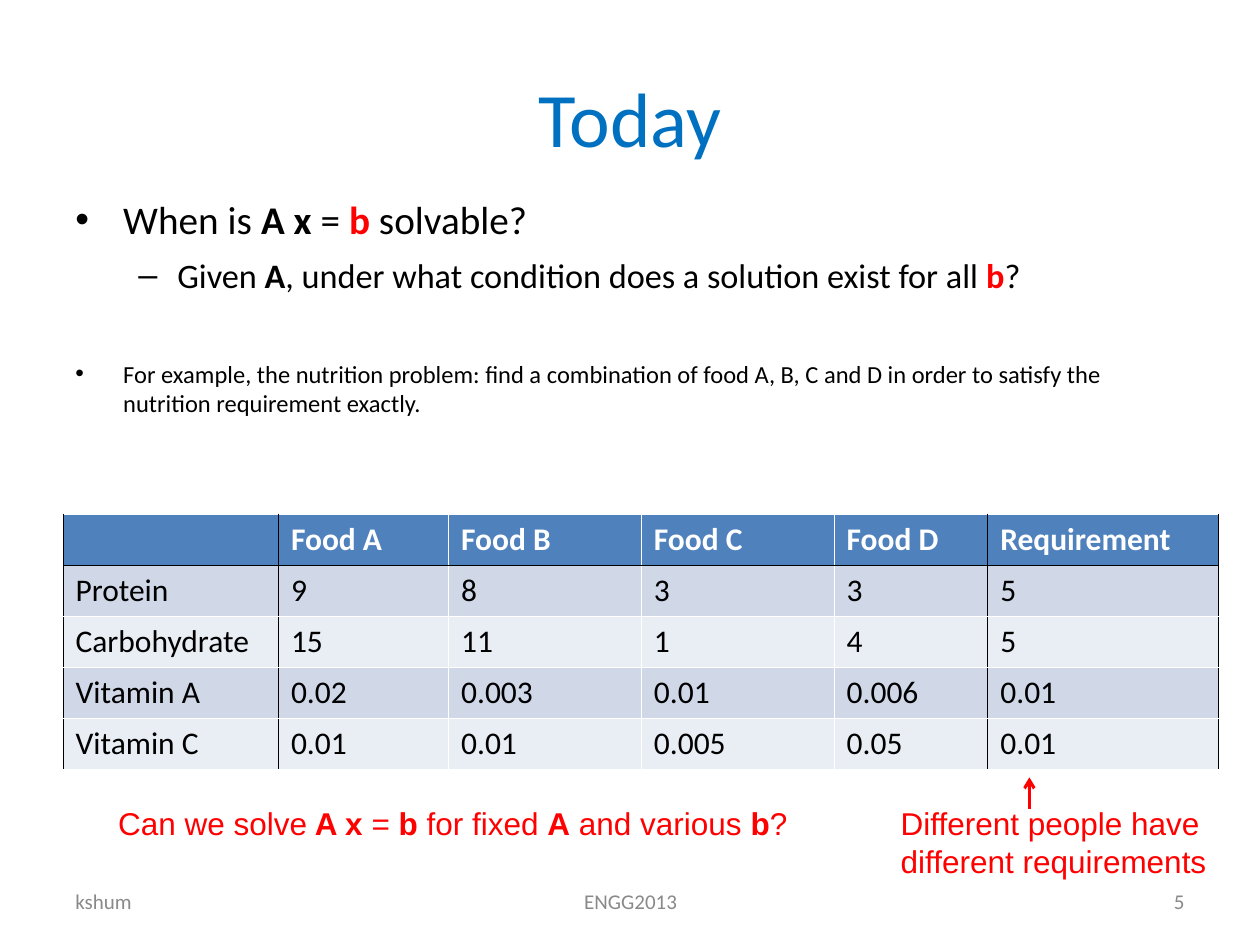
"""Build the "Today" slide on when A x = b is solvable."""
from lxml.etree import SubElement
from pptx import Presentation
from pptx.dml.color import RGBColor
from pptx.enum.shapes import MSO_CONNECTOR
from pptx.enum.text import MSO_ANCHOR, MSO_AUTO_SIZE, PP_ALIGN
from pptx.oxml import parse_xml
from pptx.oxml.ns import nsdecls, qn
from pptx.util import Inches, Pt

BLACK = RGBColor(0x00, 0x00, 0x00)
WHITE = RGBColor(0xFF, 0xFF, 0xFF)
RED = RGBColor(0xFF, 0x00, 0x00)
BLUE = RGBColor(0x00, 0x70, 0xC0)
GREY = RGBColor(0x89, 0x89, 0x89)
HEADER = RGBColor(0x4F, 0x81, 0xBD)
BANDS = [RGBColor(0xE9, 0xED, 0xF4), RGBColor(0xD0, 0xD8, 0xE8)]

TITLE = [("Today", False, BLUE)]
BULLETS = [
    ("•", 0.38, 0.38, 22.4, 0, [
        ("When is ", False, BLACK), ("A x ", True, BLACK), ("= ", False, BLACK),
        ("b", True, RED), (" solvable?", False, BLACK)]),
    ("–", 0.81, 0.31, 19.6, 7, [
        ("Given ", False, BLACK), ("A", True, BLACK),
        (", under what condition does a solution exist for all ", False, BLACK),
        ("b", True, RED), ("?", False, BLACK)]),
    ("•", 0.38, 0.38, 14, 36, [
        ("For example, the nutrition problem: find a combination of food A, B, C and D "
         "in order to satisfy the nutrition requirement exactly.", False, BLACK)]),
]
FOOTERS = [
    ("kshum", 0.5, 2.33, PP_ALIGN.LEFT),
    ("ENGG2013", 3.42, 3.17, PP_ALIGN.CENTER),
    ("5", 7.17, 2.33, PP_ALIGN.RIGHT),
]
NUTRITION = [
    ["", "Food A", "Food B", "Food C", "Food D", "Requirement"],
    ["Protein", "9", "8", "3", "3", "5"],
    ["Carbohydrate", "15", "11", "1", "4", "5"],
    ["Vitamin A", "0.02", "0.003", "0.01", "0.006", "0.01"],
    ["Vitamin C", "0.01", "0.01", "0.005", "0.05", "0.01"],
]
COL_WIDTHS = [1.71, 1.35, 1.53, 1.53, 1.22, 1.83]
ROW_HEIGHT = 0.406
BLACK_COL_EDGES = {0, 1, 5, 6}
BLACK_ROW_EDGES = {1}
QUESTION = [
    ("Can we solve", False, RED), (" A x ", True, RED), ("= ", False, RED),
    ("b ", True, RED), ("for fixed ", False, RED), ("A", True, RED),
    (" and various ", False, RED), ("b", True, RED), ("?", False, RED),
]
REMARK = [("Different people have", False, RED), ("\n", False, RED),
          ("different requirements", False, RED)]


def add_runs(p, runs, size, font="Calibri"):
    for text, bold, color in runs:
        if text == "\n":
            p.add_line_break()
            continue
        r = p.add_run()
        r.text = text
        r.font.name, r.font.size = font, Pt(size)
        r.font.bold, r.font.color.rgb = bold, color


def add_text(s, box, runs, size, font="Calibri", align=PP_ALIGN.LEFT,
             anchor=MSO_ANCHOR.TOP, wrap=True):
    tf = s.shapes.add_textbox(*map(Inches, box)).text_frame
    tf.word_wrap, tf.vertical_anchor = wrap, anchor
    if not wrap:
        tf.auto_size = MSO_AUTO_SIZE.SHAPE_TO_FIT_TEXT
    p = tf.paragraphs[0]
    p.alignment = align
    add_runs(p, runs, size, font)


def add_bullets(s, box):
    tf = s.shapes.add_textbox(*map(Inches, box)).text_frame
    tf.word_wrap = True
    for i, (char, margin, hang, size, before, runs) in enumerate(BULLETS):
        p = tf.add_paragraph() if i else tf.paragraphs[0]
        pPr = p._p.get_or_add_pPr()
        pPr.set("marL", str(Inches(margin)))
        pPr.set("indent", str(-Inches(hang)))
        color = SubElement(pPr, qn("a:buClr"))
        SubElement(color, qn("a:srgbClr"), val=str(BLACK))
        SubElement(pPr, qn("a:buFont"), typeface="Arial")
        SubElement(pPr, qn("a:buChar"), char=char)
        p.level = 1 if char == "–" else 0
        p.space_before = Pt(before)
        add_runs(p, runs, size)


def set_borders(cell, row, col):
    edges = [("lnL", col in BLACK_COL_EDGES), ("lnR", col + 1 in BLACK_COL_EDGES),
             ("lnT", row in BLACK_ROW_EDGES), ("lnB", row + 1 in BLACK_ROW_EDGES)]
    tcPr = cell._tc.get_or_add_tcPr()
    for i, (tag, black) in enumerate(edges):
        color = BLACK if black or (row == col == 0 and tag == "lnL") else WHITE
        tcPr.insert(i, parse_xml(
            f'<a:{tag} {nsdecls("a")} w="{Pt(0.45)}"><a:solidFill>'
            f'<a:srgbClr val="{color}"/></a:solidFill></a:{tag}>'))


def add_nutrition_table(s, left, top):
    rows, cols = len(NUTRITION), len(COL_WIDTHS)
    table = s.shapes.add_table(rows, cols, Inches(left), Inches(top),
                               Inches(sum(COL_WIDTHS)), Inches(rows * ROW_HEIGHT)).table
    for column, width in zip(table.columns, COL_WIDTHS):
        column.width = Inches(width)
    for i, values in enumerate(NUTRITION):
        table.rows[i].height = Inches(ROW_HEIGHT)
        for j, value in enumerate(values):
            cell = table.cell(i, j)
            cell.fill.solid()
            cell.fill.fore_color.rgb = BANDS[i % 2] if i else HEADER
            set_borders(cell, i, j)
            if value:
                run = (value, i == 0, BLACK if i else WHITE)
                add_runs(cell.text_frame.paragraphs[0], [run], 18)


def add_arrow(s, x, start, end):
    line = s.shapes.add_connector(MSO_CONNECTOR.STRAIGHT, Inches(x), Inches(start),
                                  Inches(x), Inches(end))
    line.line.color.rgb, line.line.width = RED, Pt(1.75)
    SubElement(line.line._get_or_add_ln(), qn("a:tailEnd"), type="arrow")
    SubElement(line._element.spPr, qn("a:effectLst"))


def main():
    prs = Presentation()
    prs.slide_width, prs.slide_height = Inches(10), Inches(7.5)
    s = prs.slides.add_slide(prs.slide_layouts[6])
    add_text(s, (0.5, 0.3, 9, 1.25), TITLE, 44, align=PP_ALIGN.CENTER,
             anchor=MSO_ANCHOR.MIDDLE)
    add_bullets(s, (0.5, 1.5, 9, 1.92))
    for text, left, width, align in FOOTERS:
        add_text(s, (left, 6.95, width, 0.4), [(text, False, GREY)], 12,
                 align=align, anchor=MSO_ANCHOR.MIDDLE)
    add_nutrition_table(s, 0.5, 4.08)
    add_text(s, (7.05, 6.33, 2.63, 0.7), REMARK, 18, "Arial", wrap=False)
    add_arrow(s, 8.17, 6.42, 6.17)
    add_text(s, (0.84, 6.33, 5.53, 0.4), QUESTION, 18, "Arial", wrap=False)
    prs.save("out.pptx")


if __name__ == "__main__":
    main()
